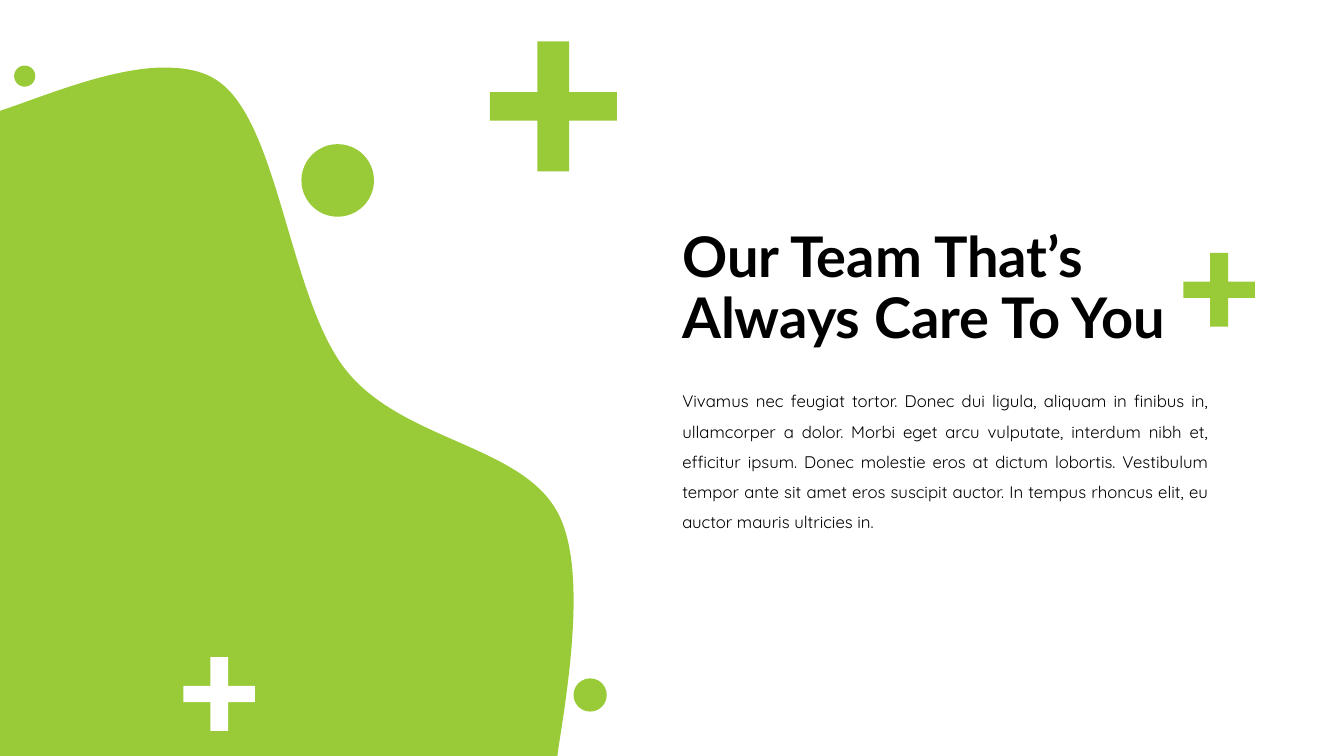
from lxml import etree
from pptx import Presentation
from pptx.dml.color import RGBColor
from pptx.enum.shapes import MSO_SHAPE as SHAPE
from pptx.enum.text import MSO_ANCHOR as ANCHOR, MSO_AUTO_SIZE as FIT, PP_ALIGN as ALIGN
from pptx.oxml.ns import qn
from pptx.util import Inches, Pt

# Content
TITLE = "Our Team That’s Always Care To You"
BODY = ("Vivamus nec feugiat tortor. Donec dui ligula, aliquam in finibus in, "
        "ullamcorper a dolor. Morbi eget arcu vulputate, interdum nibh et, "
        "efficitur ipsum. Donec molestie eros at dictum lobortis. Vestibulum "
        "tempor ante sit amet eros suscipit auctor. In tempus rhoncus elit, eu "
        "auctor mauris ultricies in.")
GREEN, WHITE, BLACK = "99CB38", "FFFFFF", "000000"

# Blob outline: one point is a straight corner, three points are a Bezier curve
BLOB_BOX = (0, 0.67, 5.69, 6.83)
BLOB_START = (1.61, 0.67)
BLOB = [
    [(1.08, 0.68), (0.42, 0.96), (0.03, 1.09)],
    [(0, 1.1)], [(0, 7.5)], [(5.53, 7.5)], [(5.54, 7.42)],
    [(5.65, 6.73), (5.81, 5.66), (5.55, 5.12)],
    [(5.21, 4.41), (4, 4.39), (3.43, 3.67)],
    [(2.87, 2.96), (2.77, 1.23), (2.17, 0.81)],
    [(2.02, 0.7), (1.83, 0.67), BLOB_START],
]

# left, top, diameter
DOTS = [(2.99, 1.43, 0.72), (5.69, 6.73, 0.33), (0.14, 0.65, 0.21)]

# left, top, width, height, colour
PLUSES = [
    (11.74, 2.51, 0.71, 0.73, GREEN),
    (1.82, 6.52, 0.71, 0.73, WHITE),
    (4.86, 0.41, 1.26, 1.29, GREEN),
]
UPRIGHT, CROSSBAR = 0.25, 0.22  # bar thickness as a share of width and height

prs = Presentation()
prs.slide_width, prs.slide_height = Inches(40 / 3), Inches(7.5)
s = prs.slides.add_slide(prs.slide_layouts[6])


def rgb(colour):
    return RGBColor.from_string(colour)


def paint(sp, colour):
    sp.shadow.inherit = False
    sp.fill.solid()
    sp.fill.fore_color.rgb = rgb(colour)
    sp.line.fill.background()


def add_outline(points, colour):
    pts = [(Inches(x), Inches(y)) for x, y in points]
    builder = s.shapes.build_freeform(*pts[0], scale=1.0)
    builder.add_line_segments(pts[1:], close=True)
    sp = builder.convert_to_shape()
    paint(sp, colour)
    return sp


def add_curved_outline(box, start, parts, colour):
    left, top, width, height = box
    right, bottom = left + width, top + height
    sp = add_outline([(left, top), (right, top), (right, bottom), (left, bottom)], colour)
    outline = next(sp.element.iter(qn("a:path")))
    for step in list(outline):
        outline.remove(step)
    for tag, points in [("a:moveTo", [start])] + [
            ("a:cubicBezTo" if len(part) == 3 else "a:lnTo", part) for part in parts]:
        step = etree.SubElement(outline, qn(tag))
        for x, y in points:
            etree.SubElement(step, qn("a:pt"), x=str(Inches(x - left)), y=str(Inches(y - top)))
    etree.SubElement(outline, qn("a:close"))


def plus_points(left, top, width, height):
    right, bottom = left + width, top + height
    x1, x2 = (left + width * (1 + side * UPRIGHT) / 2 for side in (-1, 1))
    y1, y2 = (top + height * (1 + side * CROSSBAR) / 2 for side in (-1, 1))
    return [(x1, top), (x2, top), (x2, y1), (right, y1), (right, y2), (x2, y2),
            (x2, bottom), (x1, bottom), (x1, y2), (left, y2), (left, y1), (x1, y1)]


def add_text(box, text, font, size, spacing, bold=False, align=None,
             anchor=ANCHOR.TOP, fit=FIT.NONE):
    tf = s.shapes.add_textbox(*map(Inches, box)).text_frame
    tf.word_wrap, tf.auto_size = True, fit
    tf.vertical_anchor = anchor
    p = tf.paragraphs[0]
    p.alignment, p.line_spacing = align, spacing
    r = p.add_run()
    r.text = text
    r.font.name, r.font.size, r.font.bold = font, Pt(size), bold
    r.font.color.rgb = rgb(BLACK)


# Decoration
add_curved_outline(BLOB_BOX, BLOB_START, BLOB, GREEN)
for left, top, size in DOTS:
    paint(s.shapes.add_shape(SHAPE.OVAL, *map(Inches, (left, top, size, size))), GREEN)
for *box, colour in PLUSES:
    add_outline(plus_points(*box), colour)

# Text
add_text((6.67, 2.15, 5.75, 1.45), TITLE, "Lato", 40, 0.9, bold=True, anchor=ANCHOR.MIDDLE)
add_text((6.67, 3.73, 5.42, 1.62), BODY, "Quicksand", 12, 1.5, align=ALIGN.JUSTIFY,
         fit=FIT.SHAPE_TO_FIT_TEXT)

prs.save("out.pptx")
